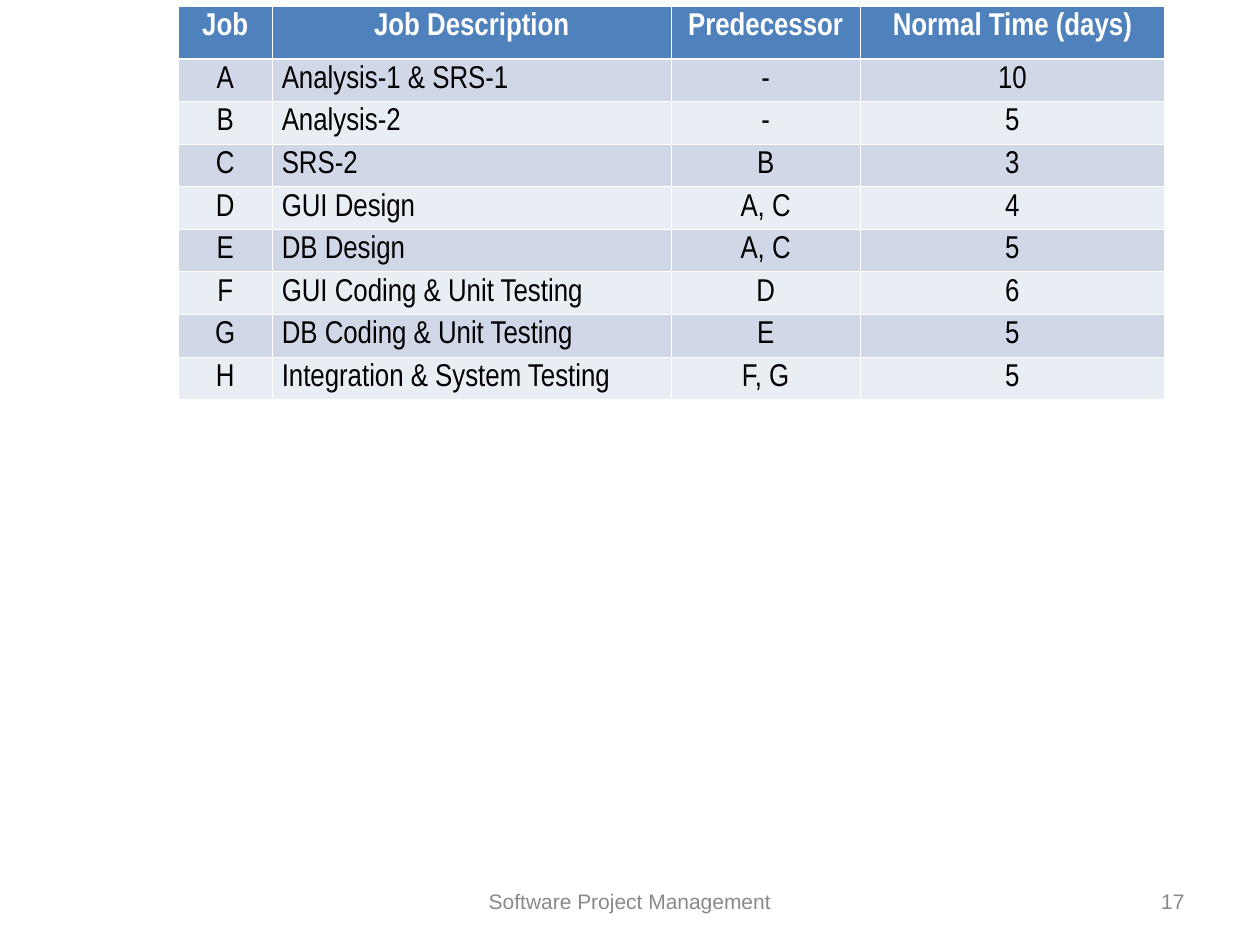
from lxml.etree import SubElement
from pptx import Presentation
from pptx.dml.color import RGBColor
from pptx.enum.text import MSO_ANCHOR, PP_ALIGN
from pptx.oxml.ns import qn
from pptx.util import Cm, Pt

WHITE = RGBColor(0xFF, 0xFF, 0xFF)
BLACK = RGBColor(0x00, 0x00, 0x00)
HEADER_BLUE = RGBColor(0x4F, 0x81, 0xBD)
BAND_DARK = RGBColor(0xD0, 0xD8, 0xE8)
BAND_LIGHT = RGBColor(0xE9, 0xED, 0xF4)
FOOTER_GREY = RGBColor(0x89, 0x89, 0x89)

JOBS = [
    ("Job", "Job Description", "Predecessor", "Normal Time (days)"),
    ("A", "Analysis-1 & SRS-1", "-", "10"),
    ("B", "Analysis-2", "-", "5"),
    ("C", "SRS-2", "B", "3"),
    ("D", "GUI Design", "A, C", "4"),
    ("E", "DB Design", "A, C", "5"),
    ("F", "GUI Coding & Unit Testing", "D", "6"),
    ("G", "DB Coding & Unit Testing", "E", "5"),
    ("H", "Integration & System Testing", "F, G", "5"),
]
COLUMN_WIDTHS = [1.9, 8.04, 3.81, 6.14]
HEADER_HEIGHT, JOB_HEIGHT = 1.06, 0.81


def write(paragraph, text, align, font_name, size, color, bold=False):
    paragraph.alignment = align
    run = paragraph.add_run()
    run.text = text
    run.font.name = font_name
    run.font.size = Pt(size)
    run.font.bold = bold
    run.font.color.rgb = color


def add_border(cell, side, width):
    line = SubElement(cell._tc.get_or_add_tcPr(), qn(f"a:{side}"), w=str(Pt(width)))
    SubElement(SubElement(line, qn("a:solidFill")), qn("a:srgbClr"), val=str(WHITE))


prs = Presentation()
prs.slide_width, prs.slide_height = Cm(25.4), Cm(19.05)
slide = prs.slides.add_slide(prs.slide_layouts[6])

schedule = slide.shapes.add_table(
    len(JOBS), len(COLUMN_WIDTHS), Cm(3.59), Cm(0.13),
    Cm(sum(COLUMN_WIDTHS)), Cm(HEADER_HEIGHT + JOB_HEIGHT * (len(JOBS) - 1)),
).table
for column, width in zip(schedule.columns, COLUMN_WIDTHS):
    column.width = Cm(width)

for r, job in enumerate(JOBS):
    is_header = r == 0
    schedule.rows[r].height = Cm(HEADER_HEIGHT if is_header else JOB_HEIGHT)
    band = HEADER_BLUE if is_header else BAND_DARK if r % 2 else BAND_LIGHT
    for c, entry in enumerate(job):
        cell = schedule.cell(r, c)
        cell.margin_left = cell.margin_right = Cm(0.19)
        cell.margin_top = cell.margin_bottom = Cm(0.13)
        add_border(cell, "lnL", 0.45)
        add_border(cell, "lnR", 0.45)
        add_border(cell, "lnT", 1.47 if r == 1 else 0.45)
        add_border(cell, "lnB", 1.47 if is_header else 0.45)
        cell.fill.solid()
        cell.fill.fore_color.rgb = band
        is_description = c == 1 and not is_header
        write(cell.text_frame.paragraphs[0], entry,
              PP_ALIGN.JUSTIFY if is_description else PP_ALIGN.CENTER,
              "Arial Narrow", 18, WHITE if is_header else BLACK, is_header)

for text, left, width, align in [
    ("Software Project Management", 8.68, 8.04, PP_ALIGN.CENTER),
    ("17", 18.2, 5.93, PP_ALIGN.RIGHT),
]:
    footer = slide.shapes.add_textbox(Cm(left), Cm(17.66), Cm(width), Cm(1.01)).text_frame
    footer.word_wrap = True
    footer.vertical_anchor = MSO_ANCHOR.MIDDLE
    write(footer.paragraphs[0], text, align, "Arial", 12, FOOTER_GREY)

prs.save("out.pptx")
